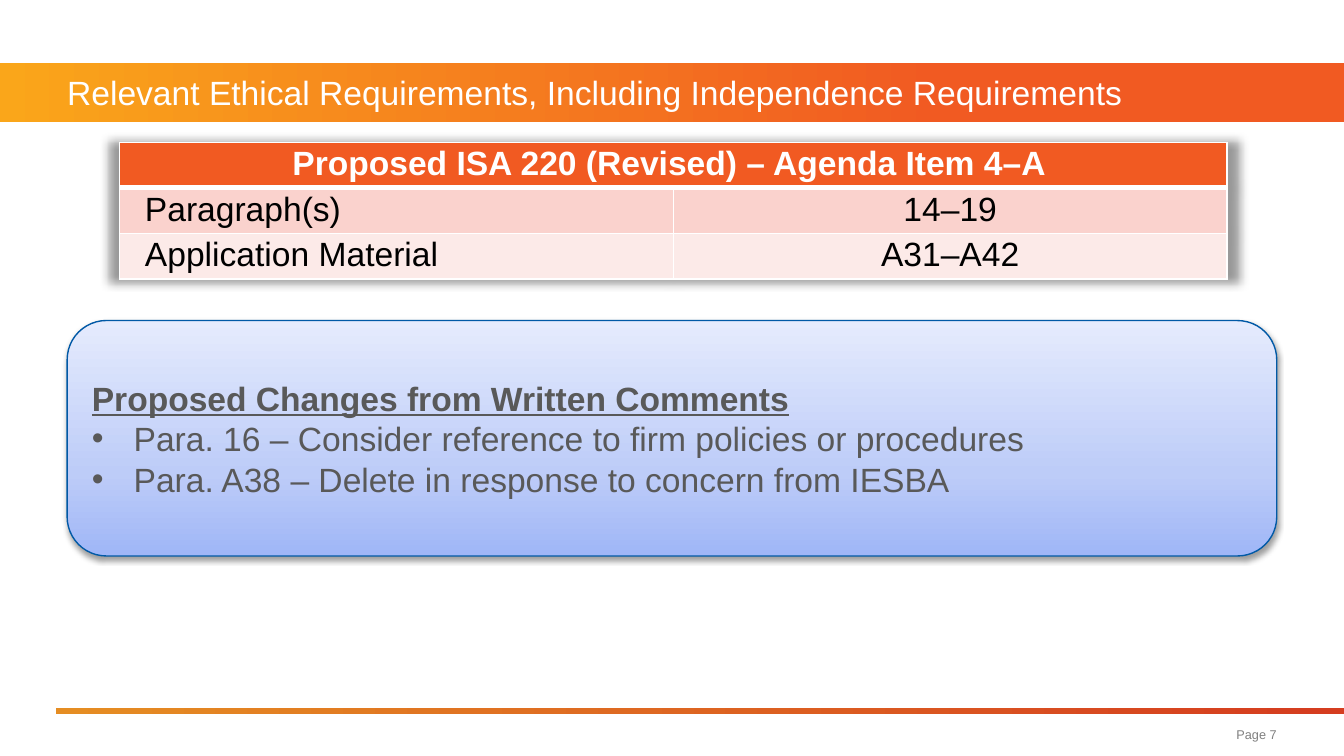
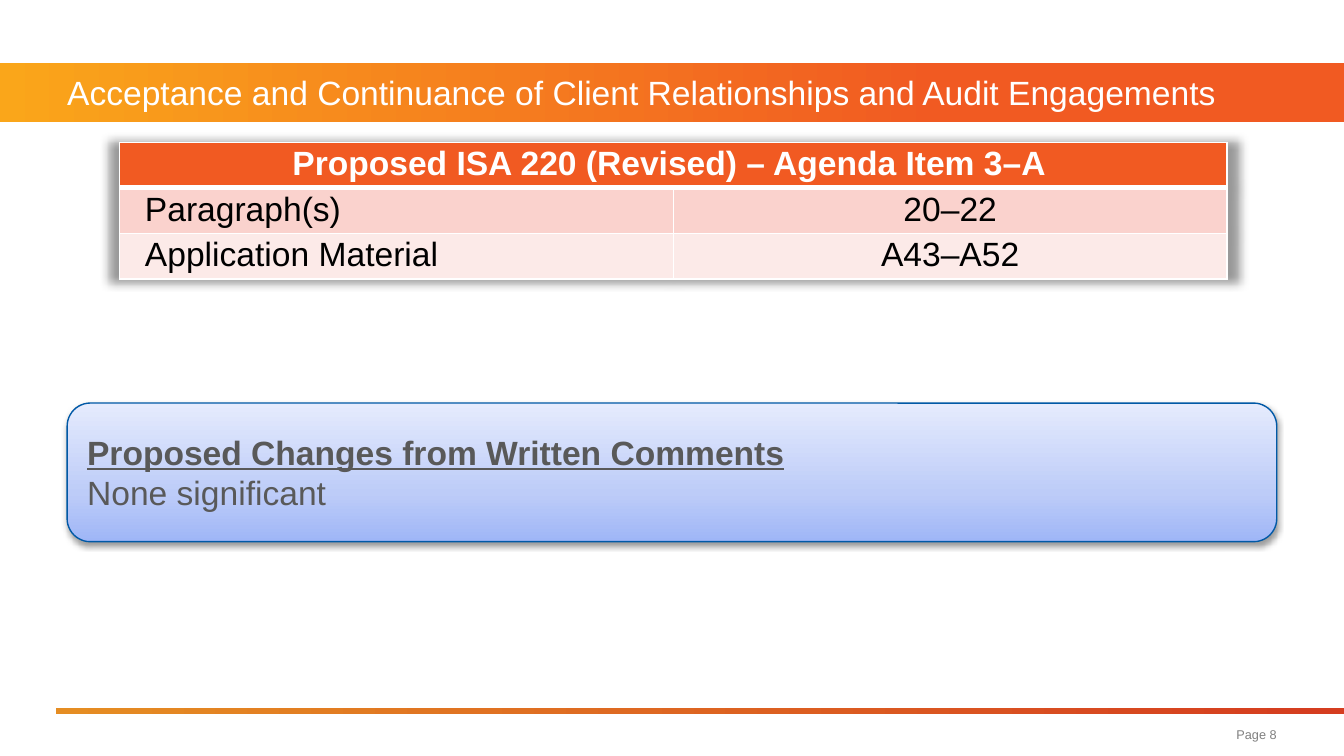
from lxml.etree import SubElement
from pptx import Presentation
from pptx.dml.color import RGBColor
from pptx.enum.shapes import MSO_SHAPE as Preset
from pptx.enum.text import MSO_ANCHOR as Anchor, PP_ALIGN as Align
from pptx.oxml.ns import qn
from pptx.util import Cm, Pt

# Colours
WHITE = RGBColor(0xFF, 0xFF, 0xFF)
BLACK = RGBColor(0x00, 0x00, 0x00)
GREY = RGBColor(0x80, 0x80, 0x80)
DARK_GREY = RGBColor(0x59, 0x59, 0x59)
AMBER = RGBColor(0xFA, 0xA6, 0x1A)
ORANGE = RGBColor(0xF1, 0x5A, 0x22)
RULE_AMBER = RGBColor(0xE5, 0x8D, 0x23)
RULE_RED = RGBColor(0xD5, 0x3D, 0x20)
PINK = RGBColor(0xFA, 0xD2, 0xCD)
PALE_PINK = RGBColor(0xFC, 0xEA, 0xE8)
BLUE = RGBColor(0x9F, 0xB6, 0xF7)
LIGHT_BLUE = RGBColor(0xBD, 0xCC, 0xF8)
PALE_BLUE = RGBColor(0xE5, 0xEB, 0xFD)
EDGE_BLUE = RGBColor(0x00, 0x59, 0xA6)

# Gradients: (position in percent, colour)
BAND_STOPS = [(0, AMBER), (70, ORANGE)]
RULE_STOPS = [(0, RULE_AMBER), (99, RULE_RED)]
PANEL_STOPS = [(0, BLUE), (35, LIGHT_BLUE), (100, PALE_BLUE)]

# Text formats
BASE = {"name": "Arial", "size": Pt(18), "bold": False}
TITLE = BASE | {"color": WHITE}
PAGE = BASE | {"size": Pt(6.8), "color": GREY}
HEADER = BASE | {"bold": True, "color": WHITE}
CELL = BASE | {"color": BLACK}
COMMENT = BASE | {"color": DARK_GREY}
HEADING = COMMENT | {"bold": True, "underline": True}

# Shared places
WIDTH, HEIGHT = Cm(25.4), Cm(14.29)
MARGIN = Cm(1.27)
BAND_TOP, BAND_HEIGHT = Cm(1.19), Cm(1.12)
ROW_HEIGHTS = [Cm(0.86), Cm(0.84), Cm(0.84)]

PANEL_HEADING = "Proposed Changes from Written Comments"


def write(paragraph, text, style, align=Align.LEFT):
    paragraph.alignment = align
    run = paragraph.add_run()
    run.text = text
    for key, value in style.items():
        if key == "color":
            run.font.color.rgb = value
        else:
            setattr(run.font, key, value)


def add_label(slide, box, text, style, align=Align.LEFT):
    frame = slide.shapes.add_textbox(*box).text_frame
    settings = dict.fromkeys(
        ("margin_left", "margin_top", "margin_right", "margin_bottom"), 0)
    settings |= {"word_wrap": True, "vertical_anchor": Anchor.MIDDLE}
    for key, value in settings.items():
        setattr(frame, key, value)
    write(frame.paragraphs[0], text, style, align)


def add_gradient_shape(slide, preset, box, stops, angle=0):
    shape = slide.shapes.add_shape(preset, *box)
    shape.shadow.inherit = False
    shape.line.fill.background()
    shape.fill.gradient()
    shape.fill.gradient_angle = angle
    stop_list = shape._element.spPr.find(qn("a:gradFill")).find(qn("a:gsLst"))
    for old_stop in list(stop_list):
        stop_list.remove(old_stop)
    for position, color in stops:
        stop = SubElement(stop_list, qn("a:gs"), pos=str(position * 1000))
        SubElement(stop, qn("a:srgbClr"), val=str(color))
    return shape


def add_shadow(effects, alpha, **geometry):
    shadow = SubElement(effects, qn("a:outerShdw"), rotWithShape="0",
                        **{key: str(value) for key, value in geometry.items()})
    color = SubElement(shadow, qn("a:srgbClr"), val=str(BLACK))
    SubElement(color, qn("a:alpha"), val=str(alpha * 1000))


def add_bullet(paragraph):
    indent = Cm(0.79)
    properties = paragraph._p.get_or_add_pPr()
    properties.set("marL", str(indent))
    properties.set("indent", str(-indent))
    SubElement(properties, qn("a:buFont"), typeface="Arial")
    SubElement(properties, qn("a:buChar"), char="•")


def set_borders(cell, **widths):
    properties = cell._tc.get_or_add_tcPr()
    for side in "LRTB":
        line = SubElement(properties, qn(f"a:ln{side}"),
                          w=str(Pt(widths.get(side, 1))))
        fill = SubElement(line, qn("a:solidFill"))
        SubElement(fill, qn("a:srgbClr"), val=str(WHITE))


def add_frame(slide, title, page):
    """Title band, footer rule and page number."""
    add_gradient_shape(slide, Preset.RECTANGLE,
                       (0, BAND_TOP, WIDTH, BAND_HEIGHT), BAND_STOPS)
    add_gradient_shape(slide, Preset.RECTANGLE,
                       (Cm(1.06), Cm(13.39), WIDTH - Cm(1.06), Cm(0.1)),
                       RULE_STOPS)
    add_label(slide, (MARGIN, BAND_TOP, WIDTH - MARGIN, BAND_HEIGHT),
              title, TITLE)
    add_label(slide, (Cm(16.46), Cm(13.56), Cm(7.67), Cm(0.64)),
              f"Page {page}", PAGE, Align.RIGHT)


def add_reference_table(slide, agenda_item, paragraphs, material):
    references = slide.shapes.add_table(
        3, 2, Cm(2.26), Cm(2.69), Cm(20.93), sum(ROW_HEIGHTS)).table
    references.horz_banding = False
    for row, height in zip(references.rows, ROW_HEIGHTS):
        row.height = height

    # Soft shadow around the whole table
    effects = SubElement(references._tbl.tblPr, qn("a:effectLst"))
    references._tbl.tblPr.insert(0, effects)
    add_shadow(effects, 40, blurRad=Pt(5), sx=102000, sy=102000, algn="ctr")

    rows = [
        ((f"Proposed ISA 220 (Revised) – Agenda Item {agenda_item} ", ""),
         ORANGE, HEADER, {"B": 3}),
        (("Paragraph(s)", paragraphs), PINK, CELL, {"T": 3}),
        (("Application Material", material), PALE_PINK, CELL, {}),
    ]
    for r, (texts, fill, style, borders) in enumerate(rows):
        for c, text in enumerate(texts):
            cell = references.cell(r, c)
            is_label = r > 0 and c == 0
            cell.margin_left = Cm(0.48 if is_label else 0.13)
            cell.margin_right = Cm(0.13)
            cell.margin_top = cell.margin_bottom = Cm(0.05)
            set_borders(cell, **borders)
            cell.fill.solid()
            cell.fill.fore_color.rgb = fill
            if text:
                write(cell.text_frame.paragraphs[0], text, style,
                      Align.LEFT if is_label else Align.CENTER)
    references.cell(0, 0).merge(references.cell(0, 1))


def add_comment_panel(slide, top, height, comments, bulleted):
    panel = add_gradient_shape(
        slide, Preset.ROUNDED_RECTANGLE,
        (MARGIN, top, WIDTH - 2 * MARGIN, height), PANEL_STOPS, angle=90)
    panel.line.color.rgb = EDGE_BLUE
    panel.line.width = Pt(0.75)
    add_shadow(panel._element.spPr.find(qn("a:effectLst")), 38,
               blurRad=Pt(3.1), dist=Pt(1.6), dir=90 * 60000)
    frame = panel.text_frame
    frame.word_wrap = True
    frame.vertical_anchor = Anchor.MIDDLE
    write(frame.paragraphs[0], PANEL_HEADING, HEADING)
    for comment in comments:
        paragraph = frame.add_paragraph()
        if bulleted:
            add_bullet(paragraph)
        write(paragraph, comment, COMMENT)


def main():
    deck = Presentation()
    deck.slide_width, deck.slide_height = WIDTH, HEIGHT
    blank = deck.slide_layouts[6]

    # Ethical requirements
    ethics = deck.slides.add_slide(blank)
    add_frame(ethics, "Relevant Ethical Requirements, "
              "Including Independence Requirements", 7)
    add_reference_table(ethics, "4–A", "14–19", "A31–A42")
    add_comment_panel(ethics, Cm(6.06), Cm(4.45), [
        "Para. 16 – Consider reference to firm policies or procedures",
        "Para. A38 – Delete in response to concern from IESBA",
    ], bulleted=True)

    # Acceptance and continuance
    acceptance = deck.slides.add_slide(blank)
    add_frame(acceptance, "Acceptance and Continuance of Client "
              "Relationships and Audit Engagements", 8)
    add_reference_table(acceptance, "3–A", "20–22", "A43–A52")
    add_comment_panel(acceptance, Cm(7.62), Cm(2.62),
                      ["None significant"], bulleted=False)

    deck.save("out.pptx")


if __name__ == "__main__":
    main()
